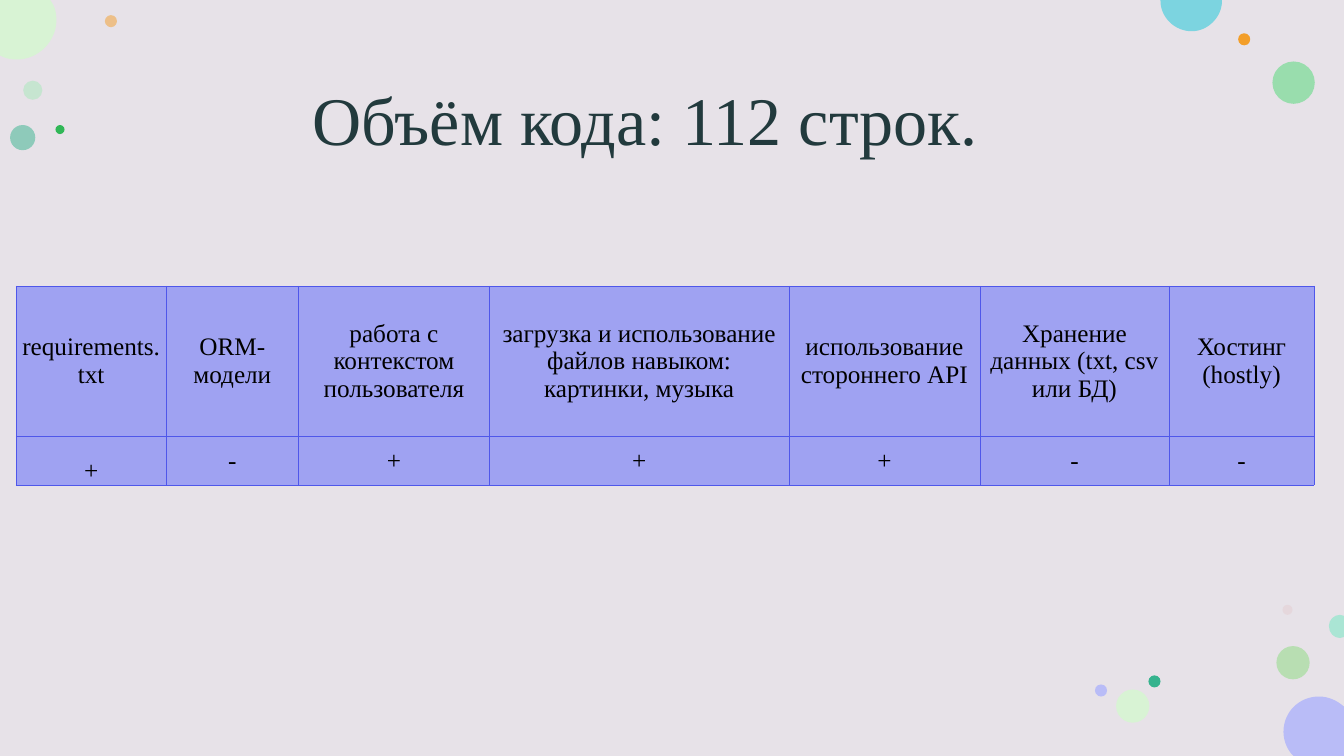
from lxml.etree import SubElement
from pptx import Presentation
from pptx.dml.color import RGBColor as RGB
from pptx.enum.shapes import MSO_SHAPE as Shape
from pptx.enum.text import MSO_ANCHOR as Anchor, PP_ALIGN as Align
from pptx.oxml import parse_xml
from pptx.oxml.ns import nsdecls, qn
from pptx.util import Inches, Pt

BACKGROUND = RGB(0xE7, 0xE2, 0xE8)
TITLE_INK = RGB(0x22, 0x3A, 0x3D)
TABLE_INK = RGB(0x00, 0x00, 0x00)
CELL = RGB(0x9F, 0xA2, 0xF2)
BORDER = RGB(0x4F, 0x57, 0xEA)
MINT = RGB(0xA7, 0xE8, 0xBA)
ORANGE = RGB(0xF3, 0x9E, 0x29)
LEAF = RGB(0x8A, 0xDB, 0x7E)
TEAL = RGB(0x36, 0xB3, 0x8E)
GREEN = RGB(0x7B, 0xDC, 0x97)
ROSE = RGB(0xE3, 0xBE, 0xBE)
PALE = RGB(0xD8, 0xF3, 0xD4)
LILAC = RGB(0xB9, 0xBC, 0xF7)
SKY = RGB(0x7C, 0xD4, 0xE0)
EMERALD = RGB(0x31, 0xB7, 0x57)
AQUA = RGB(0xAA, 0xE5, 0xD4)

WIDTH, HEIGHT = Inches(13.33), Inches(7.5)
GRID_COLUMNS, GRID_ROWS = 133.3, 75
UNIT = HEIGHT / GRID_ROWS

# Left, top, diameter in grid units, colour, opacity in percent
DOTS = [
    (2.3, 8, 1.9, MINT, 50), (10.4, 1.5, 1.2, ORANGE, 50),
    (126.6, 64.1, 3.3, LEAF, 50), (1, 12.4, 2.5, TEAL, 50),
    (126.2, 6.1, 4.2, GREEN, 72), (122.8, 3.3, 1.2, ORANGE, 100),
    (127.2, 60, 1, ROSE, 28), (113.9, 67, 1.2, TEAL, 100),
    (110.7, 68.4, 3.3, PALE, 100), (108.6, 67.9, 1.2, LILAC, 100),
    (5.5, 12.4, 0.9, EMERALD, 100),
]
# Circles cut by the slide's edge: colour, start, then one point for a
# straight side or two handles and an end for a curve
EDGE_DOTS = [
    (LILAC, (130.8, 69.1), [
        (131.8, 69.1, 132.6, 69.5, 133.3, 70.1), (133.3, 75), (128.3, 75),
        (128.1, 74.8), (127.6, 74.2, 127.3, 73.4, 127.3, 72.6),
        (127.3, 70.6, 128.9, 69.1, 130.8, 69.1)]),
    (PALE, (0, 0), [
        (5, 0), (5.3, 0.5), (5.5, 0.9, 5.6, 1.4, 5.6, 2),
        (5.6, 4.1, 3.8, 5.9, 1.7, 5.9), (1.1, 5.9, 0.6, 5.8, 0.2, 5.6),
        (0, 5.5)]),
    (SKY, (115.1, 0), [
        (121.2, 0), (121.2, 0.1), (121.2, 1.7, 119.8, 3.1, 118.2, 3.1),
        (116.5, 3.1, 115.1, 1.7, 115.1, 0.1)]),
    (AQUA, (132.9, 61), [
        (133.3, 61.1), (133.3, 63.2), (132.9, 63.3),
        (132.3, 63.3, 131.8, 62.8, 131.8, 62.1),
        (131.8, 61.5, 132.3, 61, 132.9, 61)]),
]
# Heading, mark, column width in grid units
CRITERIA = [
    ("requirements.txt", "+", 14.9),
    ("ORM-модели", "-", 13.1),
    ("работа с контекстом пользователя", "+", 18.95),
    ("загрузка и использование файлов навыком: картинки, музыка", "+", 29.7),
    ("использование стороннего API", "+", 18.95),
    ("Хранение данных (txt, csv или БД)", "-", 18.75),
    ("Хостинг (hostly)", "-", 14.4),
]


def grid(*lengths):
    return [round(length * UNIT) for length in lengths]


def write(frame, text, *, size, color, font="Times New Roman",
          align=Align.LEFT, anchor=Anchor.MIDDLE, spacing=1.0):
    frame.word_wrap = True
    frame.vertical_anchor = anchor
    para = frame.paragraphs[0]
    para.alignment = align
    para.line_spacing = spacing
    span = para.add_run()
    span.text = text
    span.font.name = font
    span.font.size = Pt(size)
    span.font.bold = False
    span.font.color.rgb = color


class Sheet:
    def __init__(self, deck):
        self.page = deck.slides.add_slide(deck.slide_layouts[5])
        self.shapes = self.page.shapes

    def paint(self, shape, color, opacity=100):
        shape.shadow.inherit = False
        shape.line.fill.background()
        shape.fill.solid()
        shape.fill.fore_color.rgb = color
        if opacity < 100:
            tone = shape._element.spPr.find(qn("a:solidFill"))[0]
            SubElement(tone, qn("a:alpha")).set("val", str(opacity * 1000))

    def preset(self, kind, left, top, width, height, color, opacity=100):
        box = grid(left, top, width, height)
        self.paint(self.shapes.add_shape(kind, *box), color, opacity)

    def edge_dot(self, color, start, sides):
        outline = self.shapes.build_freeform(*grid(*start), scale=1.0)
        outline.add_line_segments([grid(*side[-2:]) for side in sides])
        shape = outline.convert_to_shape()
        # Bend the sides that have handles
        segments = list(shape._element.iter(qn("a:lnTo")))
        for segment, side in zip(segments, sides):
            if len(side) == 2:
                continue
            segment.tag = qn("a:cubicBezTo")
            handles = grid(*side[:4])
            for index in range(2):
                x, y = handles[2 * index:2 * index + 2]
                segment.insert(index, segment.makeelement(
                    qn("a:pt"), {"x": str(x - shape.left), "y": str(y - shape.top)}))
        SubElement(segments[-1].getparent(), qn("a:close"))
        self.paint(shape, color)

    def title(self, text, left, top, width, height):
        box = self.shapes.title
        box.left, box.top, box.width, box.height = grid(left, top, width, height)
        write(box.text_frame, text, size=48.6, color=TITLE_INK, spacing=0.9)
        self.shapes._spTree.append(box._element)  # in front of the backdrop

    def cell(self, cell, text, anchor):
        cell.margin_left = cell.margin_right = Inches(0.03)
        cell.margin_top = cell.margin_bottom = 0
        cell.fill.solid()
        cell.fill.fore_color.rgb = CELL
        cell.vertical_anchor = anchor
        write(cell.text_frame, text, size=18, color=TABLE_INK,
              align=Align.CENTER, anchor=None)
        properties = cell._tc.get_or_add_tcPr()
        for index, side in enumerate("LRTB"):
            properties.insert(index, parse_xml(
                f'<a:ln{side} {nsdecls("a")} w="{Pt(0.5)}"><a:solidFill>'
                f'<a:srgbClr val="{BORDER}"/></a:solidFill></a:ln{side}>'))

    def table(self, criteria, left, top, row_heights):
        widths = [width for *_, width in criteria]
        box = grid(left, top, sum(widths), sum(row_heights))
        table = self.shapes.add_table(2, len(criteria), *box).table
        table.first_row = table.horz_banding = False
        for row, height in zip(table.rows, grid(*row_heights)):
            row.height = height
        for index, (heading, mark, width) in enumerate(criteria):
            table.columns[index].width = grid(width)[0]
            self.cell(table.cell(0, index), heading, Anchor.MIDDLE)
            self.cell(table.cell(1, index), mark,
                      Anchor.MIDDLE if index else Anchor.BOTTOM)


def main():
    deck = Presentation()
    deck.slide_width, deck.slide_height = WIDTH, HEIGHT
    sheet = Sheet(deck)

    # Backdrop and decoration
    sheet.preset(Shape.RECTANGLE, 0, 0, GRID_COLUMNS, GRID_ROWS, BACKGROUND)
    for left, top, size, color, opacity in DOTS:
        sheet.preset(Shape.OVAL, left, top, size, size, color, opacity)
    for edge_dot in EDGE_DOTS:
        sheet.edge_dot(*edge_dot)

    # Content
    sheet.title("Объём кода: 112 строк.", 30, 5, 72.8, 14.5)
    sheet.table(CRITERIA, 1.6, 28.4, (14.9, 4.8))

    deck.save("out.pptx")


if __name__ == "__main__":
    main()
